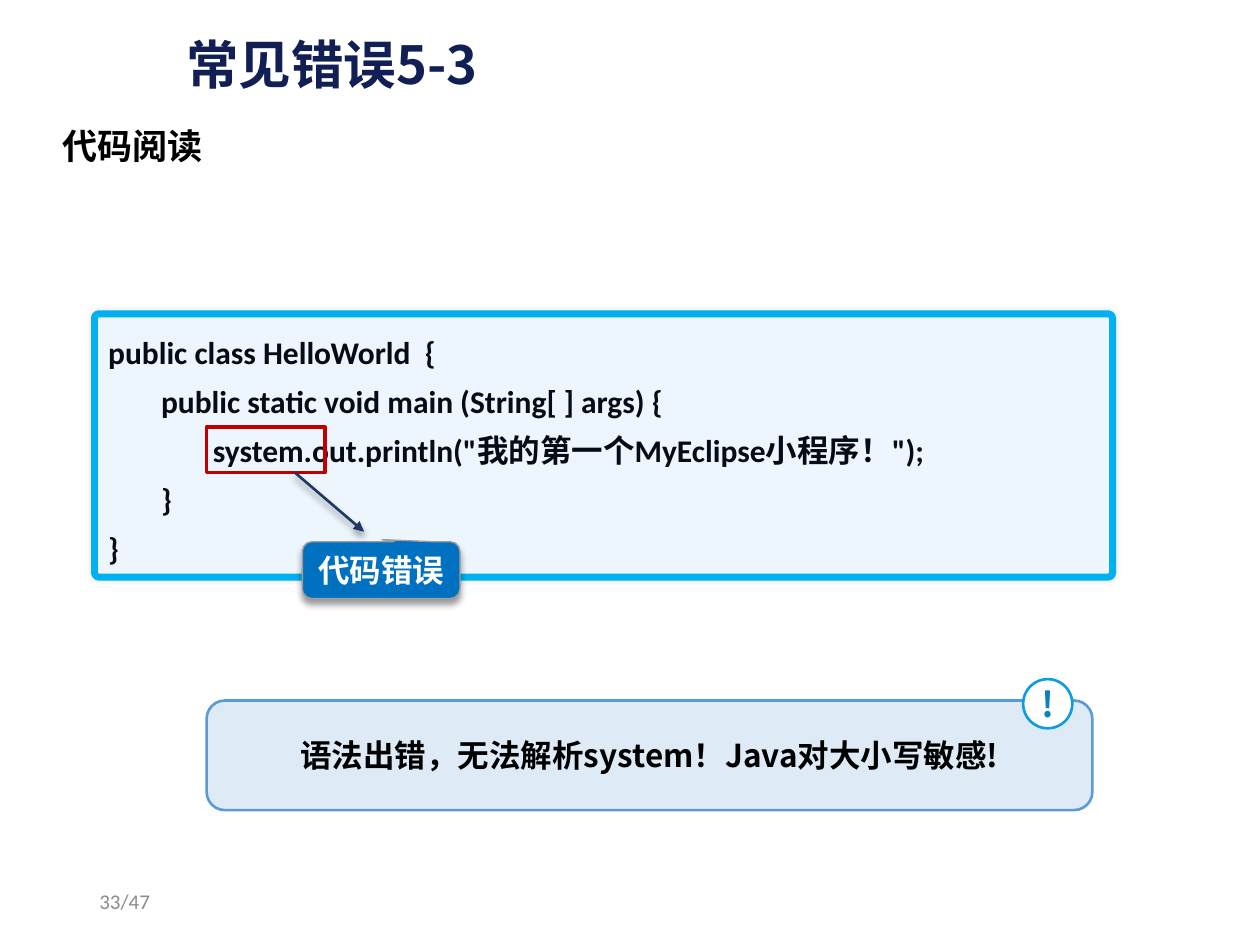
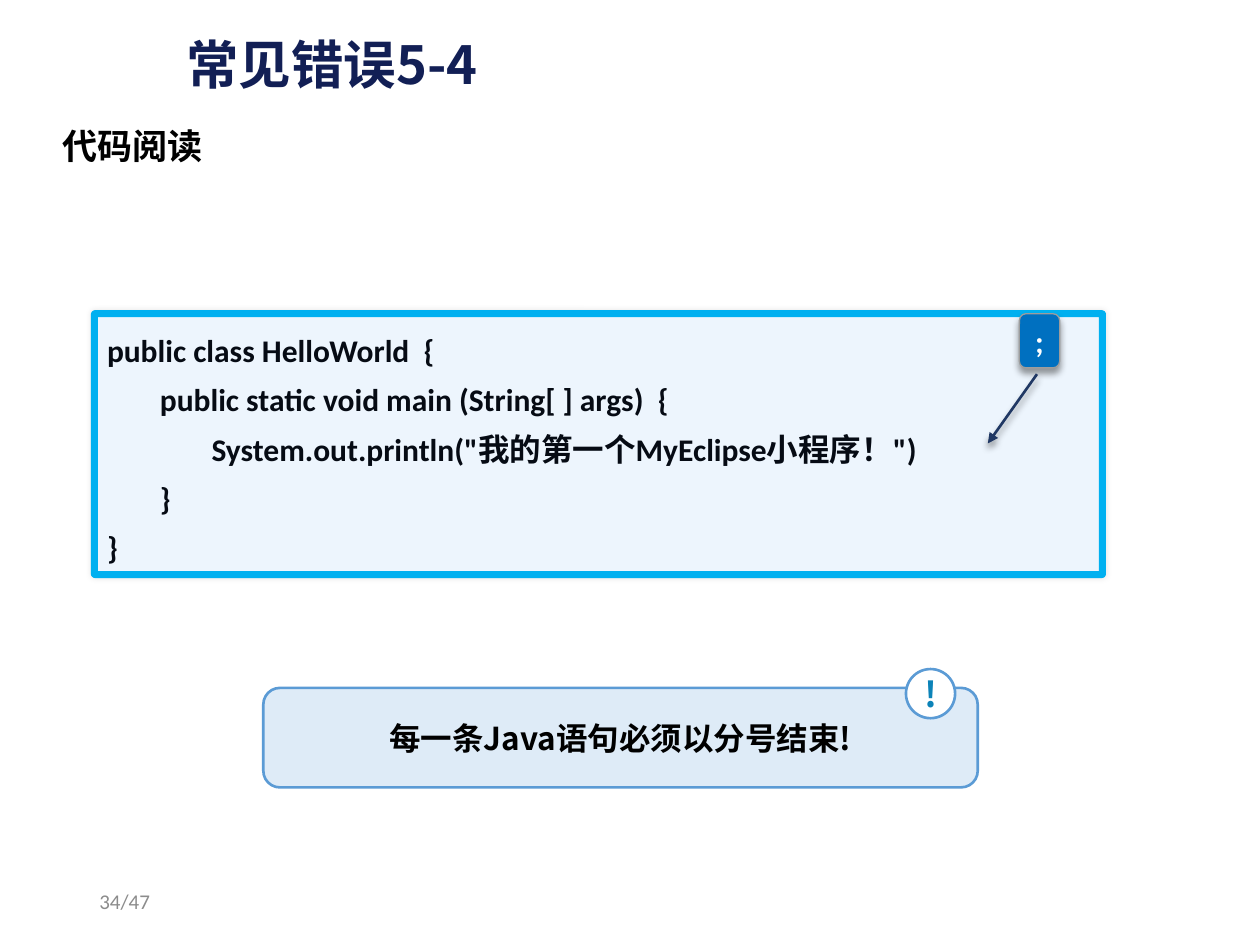
from lxml import etree
from pptx import Presentation
from pptx import util as u
from pptx.dml.color import RGBColor
from pptx.enum import shapes, text
from pptx.oxml.ns import qn

SHAPE = shapes.MSO_SHAPE
ALIGN = text.PP_ALIGN
MIDDLE = text.MSO_ANCHOR.MIDDLE
CALIBRI, CHINESE = "Calibri", "Noto Sans CJK SC"
SOFT_GLOW = (10, 3, 0, 0)  # opacity %, blur pt, distance pt, angle
DROP_SHADOW = (40, 4, 3, 90)

presentation = Presentation()
presentation.slide_width, presentation.slide_height = u.Inches(10), u.Inches(7.5)
# One column or row is one hundredth of the slide
COLUMN = presentation.slide_width / 100
ROW = presentation.slide_height / 100


def style(shape, fill=None, line=None, width=1.5, shadow=None):
    """Set fill, outline and shadow of a shape or connector."""
    if fill:
        shape.fill.solid()
        shape.fill.fore_color.rgb = RGBColor.from_string(fill)
    elif hasattr(shape, "fill"):
        shape.fill.background()
    if line:
        shape.line.color.rgb = RGBColor.from_string(line)
        shape.line.width = u.Pt(width)
    effects = etree.SubElement(shape._element.spPr, qn("a:effectLst"))
    if shadow:
        add_shadow = etree.SubElement(effects, qn("a:outerShdw"))
        opacity, blur, distance, angle = shadow
        for name, value in {"blurRad": u.Pt(blur), "dist": u.Pt(distance),
                            "dir": angle * 60000, "algn": "ctr", "rotWithShape": 0}.items():
            add_shadow.set(name, str(value))
        color = etree.SubElement(add_shadow, qn("a:srgbClr"), val="000000")
        etree.SubElement(color, qn("a:alpha"), val=str(opacity * 1000))


def write(shape, lines, size, color, name=CHINESE, bold=True, align=ALIGN.CENTER,
          spacing=None, tabs=(), **frame_values):
    """Fill a shape with paragraphs in one text format."""
    frame = shape.text_frame
    for key, value in {"word_wrap": True, "vertical_anchor": MIDDLE, **frame_values}.items():
        setattr(frame, key, value)
    for number, line in enumerate(lines):
        paragraph = frame.paragraphs[0] if number == 0 else frame.add_paragraph()
        if tabs:
            tab_list = etree.SubElement(paragraph._p.get_or_add_pPr(), qn("a:tabLst"))
            for tab in tabs:
                etree.SubElement(tab_list, qn("a:tab"), pos=str(u.Inches(tab)), algn="l")
        paragraph.alignment, paragraph.line_spacing = align, spacing
        run = paragraph.add_run()
        run.text = line
        run.font.color.rgb = RGBColor.from_string(color)
        for key, value in {"size": u.Pt(size), "bold": bold, "name": name}.items():
            setattr(run.font, key, value)
        latin = run._r.rPr.find(qn("a:latin"))
        latin.addnext(etree.Element(qn("a:ea"), typeface=CHINESE))


# What differs between the slides; places are columns and rows
pages = [
    dict(
        title="常见错误5-3", number="33/47",
        code=["public class HelloWorld  {",
              "\tpublic static void main (String[ ] args) {",
              "\t\tsystem.out.println(\"我的第一个MyEclipse小程序！\");",
              "\t}", "}"],
        code_place=(7.5, 33.2, 80.8, 27.87), code_corner=0.017,
        error_frame=(16.4, 45.2, 9.4, 4.8),
        label="代码错误", label_kind=SHAPE.ROUNDED_RECTANGULAR_CALLOUT, label_font="Arial",
        label_place=(24, 57.33, 12.5, 6), label_adjustments=(0.006, -0.538, 0.167),
        arrow=(23.4, 50, 28.9, 56.27),
        note="语法出错，无法解析system！Java对大小写敏感!",
        note_place=(16.4, 74.13, 70.3, 11.6),
        badge_place=(81.2, 71.87, 3.9, 5.2), badge_line="0E9CDE"),
    dict(
        title="常见错误5-4", number="34/47",
        code=["public class HelloWorld  {",
              "\tpublic static void main (String[ ] args)  {",
              "\t\tSystem.out.println(\"我的第一个MyEclipse小程序！\")",
              "\t}", "}"],
        code_place=(7.5, 33.2, 80, 27.6), code_corner=0.002,
        error_frame=None,
        label=";", label_kind=SHAPE.ROUNDED_RECTANGLE, label_font=CALIBRI,
        label_place=(80.9, 33.2, 3.2, 5.73), label_adjustments=(0.167,),
        arrow=(82.3, 39.6, 78.4, 46.93),
        note="每一条Java语句必须以分号结束!",
        note_place=(20.9, 72.8, 56.7, 10.53),
        badge_place=(71.9, 70.8, 3.9, 5.2), badge_line="5B9BD5"),
]
SCALE = (COLUMN, ROW, COLUMN, ROW)

for page in pages:
    slide = presentation.slides.add_slide(presentation.slide_layouts[5])
    places = {key: [round(share * unit) for share, unit in zip(page[key], SCALE)]
              for key in ("code_place", "label_place", "arrow", "note_place", "badge_place")}

    # Title
    title = slide.shapes.title
    title.left, title.top = round(13.8 * COLUMN), round(1.33 * ROW)
    title.width, title.height = round(86.2 * COLUMN), round(11.6 * ROW)
    write(title, [page["title"]], 30, "121F55", align=ALIGN.LEFT, spacing=0.9)

    # Code panel
    panel = slide.shapes.add_shape(SHAPE.ROUNDED_RECTANGLE, *places["code_place"])
    panel.adjustments[0] = page["code_corner"]
    style(panel, "EDF5FD", "00B0F0", 4, SOFT_GLOW)
    write(panel, page["code"], 18, "060B14", CALIBRI, align=ALIGN.LEFT, spacing=1.3,
          tabs=(0.42, 0.83), vertical_anchor=text.MSO_ANCHOR.TOP)

    # Frame around the wrong word
    if page["error_frame"]:
        error_frame = slide.shapes.add_shape(
            SHAPE.RECTANGLE, *[round(share * unit) for share, unit in zip(page["error_frame"], SCALE)])
        style(error_frame, line="C00000", width=2)

    # Error label and its arrow
    label = slide.shapes.add_shape(page["label_kind"], *places["label_place"])
    for index, adjustment in enumerate(page["label_adjustments"]):
        label.adjustments[index] = adjustment
    style(label, "0070C0", "9D9D9D", 0.75, DROP_SHADOW)
    write(label, [page["label"]], 18, "FFFFFF", page["label_font"], word_wrap=False)
    arrow = slide.shapes.add_connector(shapes.MSO_CONNECTOR.STRAIGHT, *places["arrow"])
    style(arrow, line="203864", shadow=DROP_SHADOW)
    etree.SubElement(arrow.line._get_or_add_ln(), qn("a:tailEnd"), type="triangle")

    # Section heading with a text shadow
    heading = slide.shapes.add_textbox(
        round(3.9 * COLUMN), round(12.53 * ROW), round(13.3 * COLUMN), round(5.87 * ROW))
    write(heading, ["代码阅读"], 20, "000000", word_wrap=False,
          vertical_anchor=text.MSO_ANCHOR.TOP)
    effects = etree.Element(qn("a:effectLst"))
    text_shadow = etree.SubElement(effects, qn("a:outerShdw"), blurRad=str(u.Pt(3)),
                                   dist=str(u.Pt(3)), dir="2700000", algn="tl")
    shadow_color = etree.SubElement(text_shadow, qn("a:srgbClr"), val="000000")
    etree.SubElement(shadow_color, qn("a:alpha"), val="43000")
    heading.text_frame.paragraphs[0].runs[0]._r.rPr.find(qn("a:solidFill")).addnext(effects)

    # Note with its exclamation badge
    note = slide.shapes.add_shape(SHAPE.ROUNDED_RECTANGLE, *places["note_place"])
    style(note, "DEEBF7", "5B9BD5")
    write(note, [page["note"]], 18, "000000")
    badge = slide.shapes.add_shape(SHAPE.OVAL, *places["badge_place"])
    style(badge, "FFFFFF", page["badge_line"])
    write(badge, ["!"], 20, "0C83B8", margin_left=0, margin_right=0,
          margin_top=0, margin_bottom=0)

    # Page number
    page_number = slide.shapes.add_textbox(
        round(6.9 * COLUMN), round(92.67 * ROW), round(22.5 * COLUMN), round(5.33 * ROW))
    write(page_number, [page["number"]], 12, "8C8C8C", CALIBRI, bold=False, align=ALIGN.LEFT)

presentation.save("out.pptx")
